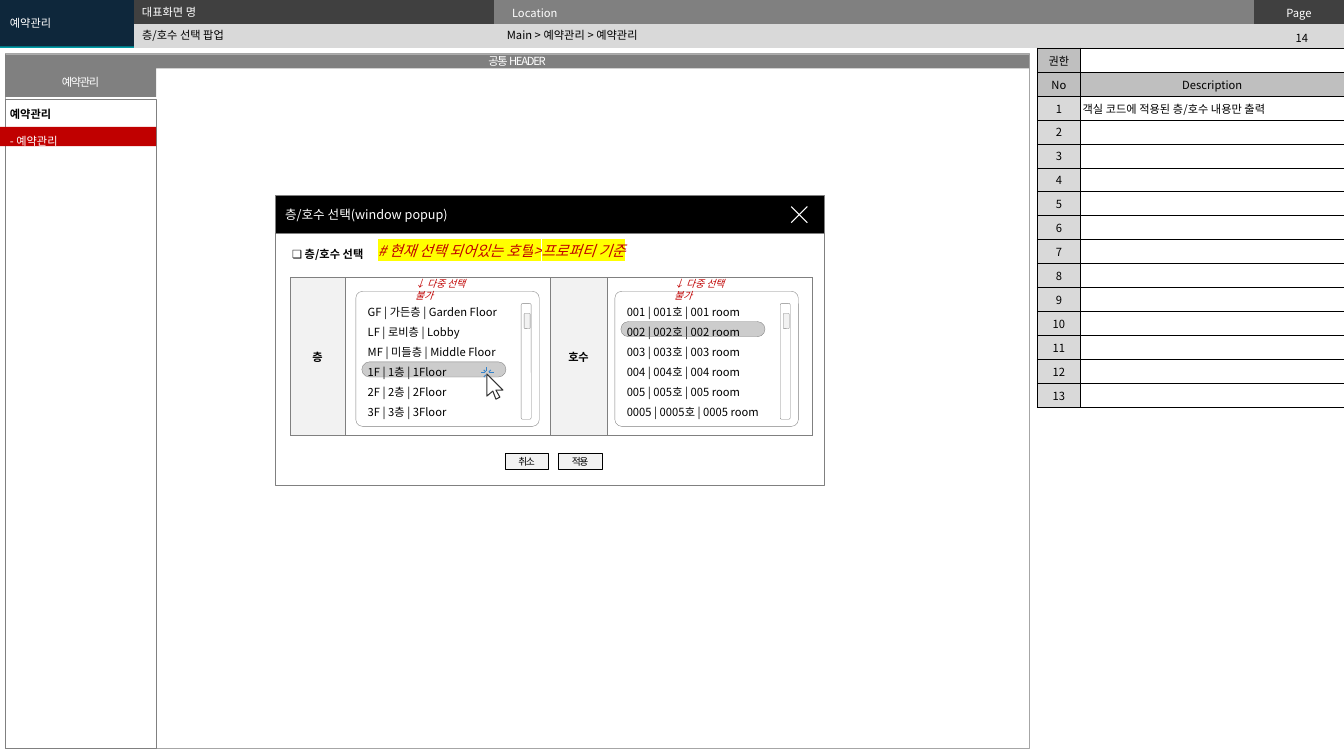
from dataclasses import dataclass

import lxml.etree
import pptx
import pptx.dml.color
import pptx.enum.shapes
import pptx.enum.text
import pptx.oxml.ns
import pptx.util

GRID = pptx.util.Inches(0.1)
COLUMNS, ROWS = 133.33, 75
SHAPE = pptx.enum.shapes.MSO_SHAPE
ALIGN = pptx.enum.text.PP_ALIGN
ANCHOR = pptx.enum.text.MSO_ANCHOR
PLAIN_TABLE = "{2D5ABB26-0587-4C30-8999-92F81FD0307C}"


@dataclass(frozen=True)
class Theme:
    font: str = "Noto Sans CJK KR"
    small: float = 7
    body: float = 8
    heading: float = 9
    note: float = 10.5
    black: str = "000000"
    white: str = "FFFFFF"
    navy: str = "0E273B"
    teal: str = "009CA6"
    charcoal: str = "404040"
    gray: str = "808080"
    frame: str = "A6A6A6"
    head: str = "BFBFBF"
    light: str = "D9D9D9"
    pale: str = "F2F2F2"
    red: str = "C00000"
    yellow: str = "FFFF00"
    outline: str = "333333"
    blue: str = "3483CB"


THEME = Theme()


@dataclass(frozen=True)
class Box:
    left: float
    top: float
    width: float
    height: float

    def area(self, left, top, width, height):
        return Box(self.left + left, self.top + top, width, height)

    def lengths(self):
        return [round(value * GRID) for value in (self.left, self.top, self.width, self.height)]


def rgb(color):
    return pptx.dml.color.RGBColor.from_string(color)


def child(parent, tag, **attributes):
    return lxml.etree.SubElement(parent, pptx.oxml.ns.qn(tag), **attributes)


def write(frame, text, size=THEME.body, color=THEME.black, bold=False, italic=False,
          align=ALIGN.LEFT, spacing=None, tracking=None, highlight=None):
    para = frame.paragraphs[-1]
    if para.runs:
        para = frame.add_paragraph()
    para.alignment = align
    if spacing:
        para.line_spacing = spacing
    span = para.add_run()
    span.text = text
    span.font.size = pptx.util.Pt(size)
    span.font.bold, span.font.italic = bold, italic
    span.font.color.rgb = rgb(color)
    properties = span.font._element
    if tracking:
        properties.set("spc", str(round(tracking * 100)))
    if highlight:
        child(child(properties, "a:highlight"), "a:srgbClr", val=highlight)
    span.font.name = THEME.font
    child(properties, "a:ea", typeface=THEME.font)


def set_frame(frame, anchor=ANCHOR.TOP, inset=(1, 0.5, 1, 0.5)):
    frame.word_wrap = True
    frame.vertical_anchor = anchor
    frame.margin_left, frame.margin_top, frame.margin_right, frame.margin_bottom = [
        round(value * GRID) for value in inset]
    return frame


def add_label(page, box, text, anchor=ANCHOR.TOP, **format):
    frame = set_frame(page.shapes.add_textbox(*box.lengths()).text_frame, anchor)
    write(frame, text, **format)
    return frame


def paint(shape, fill, line, weight):
    shape.shadow.inherit = False
    if fill:
        shape.fill.solid()
        shape.fill.fore_color.rgb = rgb(fill)
    else:
        shape.fill.background()
    if line:
        shape.line.color.rgb = rgb(line)
        shape.line.width = pptx.util.Pt(weight)
    else:
        shape.line.fill.background()


def add_block(page, box, fill=None, line=None, weight=0.25, kind=SHAPE.RECTANGLE,
              rounding=None, alpha=None, text=None, inset=(0.4, 0.5, 0.4, 0.5), **format):
    shape = page.shapes.add_shape(kind, *box.lengths())
    paint(shape, fill, line, weight)
    if rounding is not None:
        shape.adjustments[0] = rounding
    if alpha:
        color = shape.element.find(".//" + pptx.oxml.ns.qn("a:srgbClr"))
        child(color, "a:alpha", val=str(alpha * 1000))
    if text:
        write(set_frame(shape.text_frame, ANCHOR.MIDDLE, inset), text, **format)
    return shape


def add_outline(page, box, strokes, line, fill=None, close=False):
    strokes = [[((box.left + x) * GRID, (box.top + y) * GRID) for x, y in stroke]
               for stroke in strokes]
    builder = page.shapes.build_freeform(*strokes[0][0])
    for number, (start, *rest) in enumerate(strokes):
        if number:
            builder.move_to(*start)
        builder.add_line_segments(rest, close=close)
    paint(builder.convert_to_shape(), fill, line, 0.75)


def add_grid(page, box, widths, row_count):
    holder = page.shapes.add_table(row_count, len(widths), *box.lengths())
    holder.element.find(".//" + pptx.oxml.ns.qn("a:tableStyleId")).text = PLAIN_TABLE
    table = holder.table
    table.first_row = table.horz_banding = False
    for column, width in zip(table.columns, widths):
        column.width = round(width * GRID)
    for row in table.rows:
        row.height = round(box.height * GRID / row_count)
    return table


def set_cell(cell, text="", fill=None, border=None, weight=0.25, anchor=ANCHOR.TOP,
             inset=(0.2, 0.4, 0.2, 0.4), **format):
    cell.vertical_anchor = anchor
    cell.margin_left, cell.margin_top, cell.margin_right, cell.margin_bottom = [
        round(value * GRID) for value in inset]
    if text:
        write(cell.text_frame, text, **format)
    else:
        child(cell.text_frame.paragraphs[0]._p, "a:endParaRPr", sz=str(THEME.body * 100))
    if border:
        for side in ("a:lnL", "a:lnR", "a:lnT", "a:lnB"):
            edge = child(cell._tc.get_or_add_tcPr(), side, w=str(pptx.util.Pt(weight)))
            child(child(edge, "a:solidFill"), "a:srgbClr", val=border)
    if fill:
        cell.fill.solid()
        cell.fill.fore_color.rgb = rgb(fill)
    else:
        cell.fill.background()


def add_header(page, box):
    table = add_grid(page, box, (13.3, 35.7, 75.4, 8.93), 2)
    table.cell(0, 0).merge(table.cell(1, 0))
    tops = (("", THEME.teal, ALIGN.LEFT), ("", THEME.charcoal, ALIGN.LEFT),
            ("Location", THEME.gray, ALIGN.LEFT), ("Page", THEME.charcoal, ALIGN.CENTER))
    for index, (text, fill, align) in enumerate(tops):
        set_cell(table.cell(0, index), text, fill, inset=(1.8, 0.4, 1.8, 0.4),
                 color=THEME.white, align=align)
        set_cell(table.cell(1, index), fill=THEME.light)
    title = page.shapes.title
    title.left, title.top, title.width, title.height = box.area(13.1, 2.4, 36.3, 2.2).lengths()
    write(set_frame(title.text_frame, ANCHOR.MIDDLE), "층/호수 선택 팝업")
    page.shapes.element.append(title.element)
    add_label(page, box.area(124.8, 2.6, 8.7, 2.4), "14", align=ALIGN.CENTER)
    add_label(page, box.area(49.3, 2.3, 73.8, 2.4), "Main > 예약관리 > 예약관리", ANCHOR.MIDDLE)
    add_label(page, box.area(13.1, 0, 36.2, 2.2), "대표화면 명", color=THEME.white)
    add_block(page, box.area(0, 0, 13.3, 4.6), THEME.navy, text="예약관리",
              inset=(1, 0.5, 1, 0.5), color=THEME.white)


def add_screen(page, box):
    add_block(page, box, line=THEME.frame)
    add_block(page, box.area(0, 4.5, 15, 64.4), line=THEME.gray)
    for area, text in ((box.area(0, 0.1, 101.6, 1.4), "공통 HEADER"),
                       (box.area(0, 1.4, 15, 2.9), "예약관리")):
        add_block(page, area, THEME.gray, text=text, color=THEME.white,
                  align=ALIGN.CENTER, tracking=-0.9)


def add_menu(page, box):
    add_block(page, box.area(0, 3.8, 15.5, 1.9), THEME.red)
    frame = add_label(page, box, "예약관리", bold=True, spacing=2.0)
    write(frame, "- 예약관리", color=THEME.white, spacing=2.0)


def add_description(page, box):
    table = add_grid(page, box, (4.3, box.width - 4.3), 15)
    rows = [("권한", ""), ("No", "Description"), ("1", "객실 코드에 적용된 층/호수 내용만 출력")]
    rows += [(str(number), "") for number in range(2, 14)]
    border = dict(border=THEME.black, weight=0.5)
    for index, (label, text) in enumerate(rows):
        set_cell(table.cell(index, 0), label, THEME.head if index < 2 else THEME.light,
                 anchor=ANCHOR.MIDDLE, align=ALIGN.CENTER, **border)
        set_cell(table.cell(index, 1), text, THEME.head if index == 1 else None,
                 align=ALIGN.CENTER if index == 1 else ALIGN.LEFT, **border)


def add_list(page, box, options, chosen):
    rounded = dict(line=THEME.gray, kind=SHAPE.ROUNDED_RECTANGLE)
    add_block(page, box.area(16.7, 2.2, 0.6, 1.5), THEME.pale, **rounded)
    add_block(page, box.area(16.4, 1.2, 1, 11.5), **rounded)
    frame = set_frame(add_block(page, box, rounding=0.05, **rounded).text_frame)
    for option in options:
        write(frame, option, spacing=1.5)
    add_label(page, box.area(4.9, -1.85, 8.9, 2.2), "↓ 다중 선택 불가",
              size=THEME.small, color=THEME.red, italic=True)
    add_block(page, box.area(0.6, 1 + 2 * chosen, 14.3, 1.5), THEME.black,
              rounding=0.5, alpha=20, **rounded)


def add_cursor(page, box):
    arrow = [(1.9, 3), (1.5, 2.3), (2.2, 2.3), (0.6, 0.7), (0.6, 2.9), (1.2, 2.4), (1.5, 3.2)]
    rays = [[(0.5, 0.8), (0.3, 1)], [(0.5, 0.5), (0.3, 0.3)], [(0.8, 0.5), (1, 0.3)],
            [(0.4, 0.6), (0, 0.6)], [(0.6, 0.4), (0.6, 0)], [(0.8, 0.6), (1.3, 0.6)]]
    add_outline(page, box, [arrow], THEME.outline, THEME.white, close=True)
    add_outline(page, box, rays, THEME.blue)


def add_popup(page, box):
    add_block(page, box.area(0, 3.8, box.width, box.height - 3.8), THEME.white, THEME.gray, 0.5)
    add_block(page, box.area(0, 0, box.width, 3.8), THEME.black, THEME.gray, 0.5,
              text="층/호수 선택(window popup)", inset=(1, 0.5, 2.5, 0.5),
              size=THEME.heading, color=THEME.white)
    add_outline(page, box.area(51.2, 1.1, 1.6, 1.6),
                [[(1.6, 0), (0, 1.6)], [(0, 0), (1.6, 1.6)]], THEME.white)
    add_label(page, box.area(0.7, 4.6, 25.4, 2.4), "❏ 층/호수 선택", bold=True)
    table = add_grid(page, box.area(1.5, 8.1, 51.8, 15.7), (5.4, 20.4, 5.6, 20.4), 1)
    for index, text in enumerate(("층", "", "호수", "")):
        set_cell(table.cell(0, index), text, THEME.pale if text else THEME.white, THEME.gray,
                 anchor=ANCHOR.MIDDLE, bold=True, align=ALIGN.CENTER, tracking=-0.3)
    floors = ("GF | 가든층 | Garden Floor", "LF | 로비층 | Lobby", "MF | 미들층 | Middle Floor",
              "1F | 1층 | 1Floor", "2F | 2층 | 2Floor", "3F | 3층 | 3Floor")
    rooms = [f"{code} | {code}호 | {code} room" for code in ("001", "002", "003", "004", "005", "0005")]
    for left, options, chosen in ((8, floors, 3), (33.7, rooms, 1)):
        add_list(page, box.area(left, 9.5, 18.2, 13.4), options, chosen)
    for index, text in enumerate(("취소", "적용")):
        add_block(page, box.area(22.8 + 5.3 * index, 25.6, 4.3, 1.6), THEME.pale, THEME.black,
                  text=text, inset=(0, 0, 0, 0), size=THEME.small, align=ALIGN.CENTER, tracking=-0.9)
    add_cursor(page, box.area(20.4, 17, 2.2, 3.2))
    add_label(page, box.area(9.2, 4.1, 46, 2.8), "# 현재 선택 되어있는 호텔>프로퍼티 기준",
              size=THEME.note, color=THEME.red, italic=True, highlight=THEME.yellow)


def main():
    deck = pptx.Presentation()
    deck.slide_width, deck.slide_height = round(COLUMNS * GRID), ROWS * GRID
    page = deck.slides.add_slide(deck.slide_layouts[5])
    add_header(page, Box(0, 0, COLUMNS, 4.76))
    add_screen(page, Box(0.5, 5.3, 101.6, 68.9))
    add_description(page, Box(102.9, 4.76, COLUMNS - 102.9, 35.7))
    add_popup(page, Box(27.3, 19.4, 54.5, 28.8))
    add_menu(page, Box(0, 8.8, 15.8, 6))
    deck.save("out.pptx")


if __name__ == "__main__":
    main()
